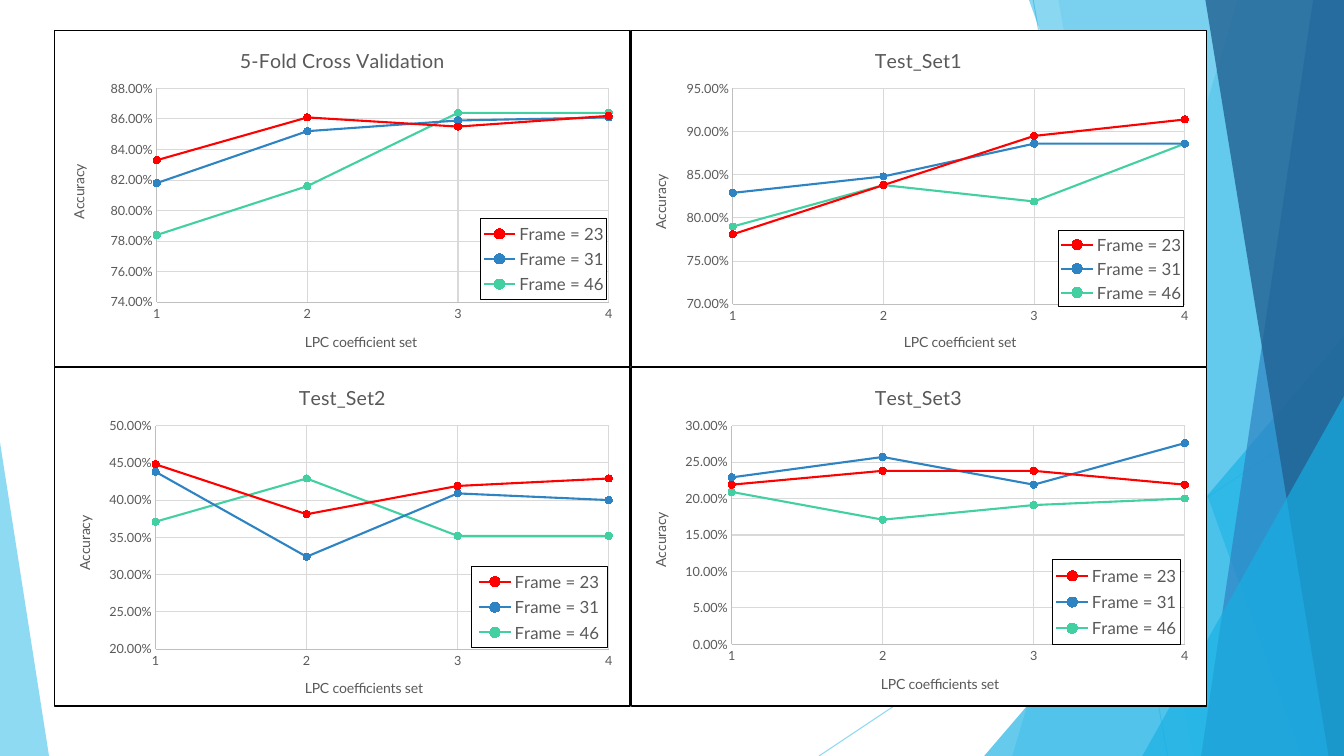
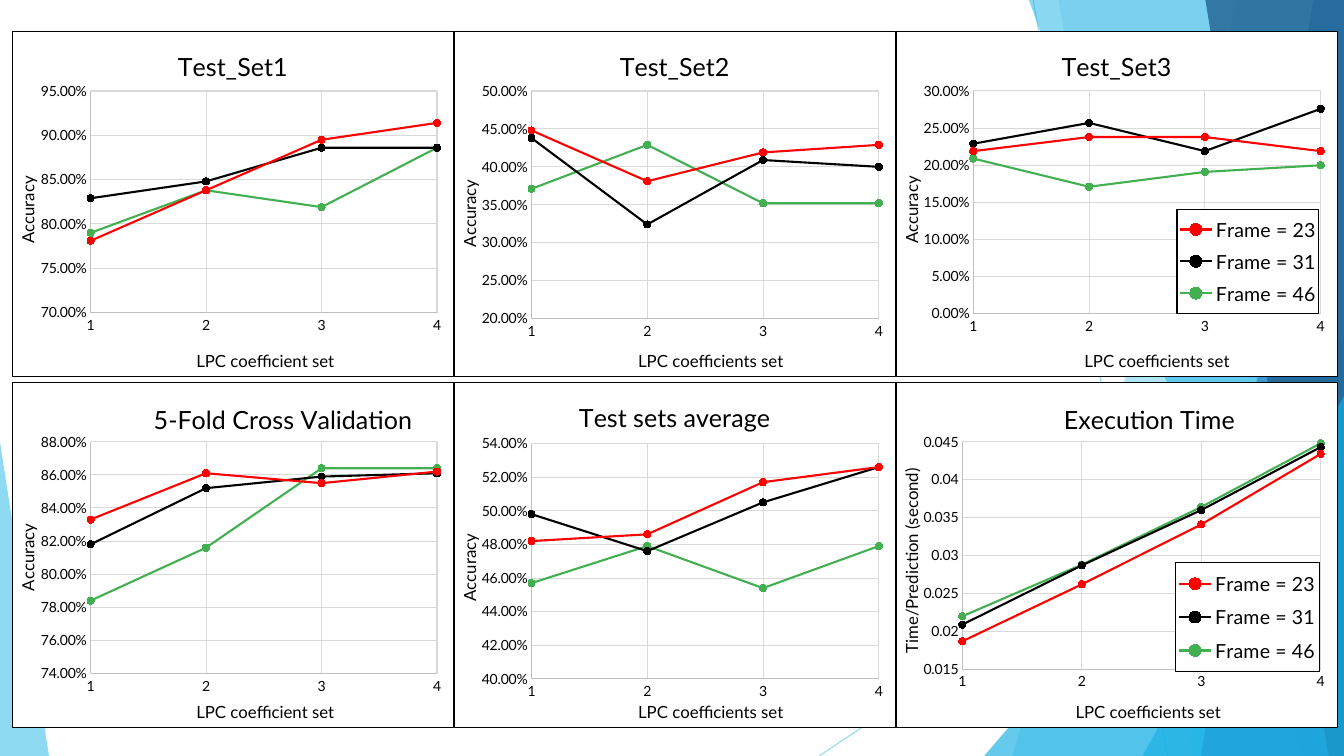
"""Build two slides of accuracy and timing line charts over a faceted blue background."""
import pptx
import pptx.chart.data
import pptx.dml.color
import pptx.enum.chart
import pptx.enum.shapes
import pptx.oxml
import pptx.oxml.ns
import pptx.util

Pt = pptx.util.Pt
RGBColor = pptx.dml.color.RGBColor
qn = pptx.oxml.ns.qn
parse_xml = pptx.oxml.parse_xml
nsdecls = pptx.oxml.ns.nsdecls

FONT = "Lato"
SKY = RGBColor(0x5F, 0xCB, 0xEF)
CYAN = RGBColor(0x17, 0xB0, 0xE4)
BLUE = RGBColor(0x2E, 0x83, 0xC3)
NAVY = RGBColor(0x22, 0x62, 0x92)
RED = RGBColor(0xFF, 0x00, 0x00)
MINT = RGBColor(0x42, 0xD0, 0xA2)
GREEN = RGBColor(0x42, 0xB0, 0x51)
BLACK = RGBColor(0x00, 0x00, 0x00)
GRAY = RGBColor(0x59, 0x59, 0x59)
AXIS_GRAY = RGBColor(0xBF, 0xBF, 0xBF)
GRID_GRAY = RGBColor(0xD9, 0xD9, 0xD9)

BACKDROP = [
    ("line", SKY, 70, (738, 0, 834, 540)),
    ("line", SKY, 70, (960, 290, 585, 540)),
    ("band", SKY, 36, (884, 723)),
    ("band", SKY, 20, (756, 852)),
    ("triangle", CYAN, 66, (703, 240, 257, 300)),
    ("band", CYAN, 50, (735, 929.5)),
    ("band", BLUE, 70, (938, 858)),
    ("band", NAVY, 80, (861, 949)),
    ("triangle", CYAN, 66, (816, 283, 144, 257)),
    ("triangle", SKY, 70, (0, 316, 35, 224)),
]

FRAMES = ["Frame = 23", "Frame = 31", "Frame = 46"]
PERCENT = "0.00%"

RESULTS = {
    "5-Fold Cross Validation": dict(
        values=[(0.833, 0.861, 0.855, 0.862), (0.818, 0.852, 0.859, 0.861),
                (0.784, 0.816, 0.864, 0.864)],
        scale=(0.74, 0.88, 0.02), x_title="LPC coefficient set"),
    "Test_Set1": dict(
        values=[(0.781, 0.838, 0.895, 0.914), (0.829, 0.848, 0.886, 0.886),
                (0.79, 0.838, 0.819, 0.886)],
        scale=(0.7, 0.95, 0.05), x_title="LPC coefficient set"),
    "Test_Set2": dict(
        values=[(0.448, 0.381, 0.419, 0.429), (0.438, 0.324, 0.409, 0.4),
                (0.371, 0.429, 0.352, 0.352)],
        scale=(0.2, 0.5, 0.05), x_title="LPC coefficients set"),
    "Test_Set3": dict(
        values=[(0.219, 0.238, 0.238, 0.219), (0.229, 0.257, 0.219, 0.276),
                (0.209, 0.171, 0.191, 0.2)],
        scale=(0, 0.3, 0.05), x_title="LPC coefficients set"),
    "Test sets average": dict(
        values=[(0.482, 0.486, 0.517, 0.526), (0.498, 0.476, 0.505, 0.526),
                (0.457, 0.479, 0.454, 0.479)],
        scale=(0.4, 0.54, 0.02), x_title="LPC coefficients set"),
    "Execution Time": dict(
        values=[(0.0187, 0.0262, 0.0341, 0.0434), (0.0209, 0.0287, 0.036, 0.0443),
                (0.022, 0.0288, 0.0364, 0.0448)],
        scale=(0.015, 0.045, 0.005), x_title="LPC coefficients set",
        y_title="Time/Prediction (second)", number_format="General"),
}

SLIDES = [
    dict(
        colors=[RED, BLUE, MINT], text=GRAY, sizes=dict(title=14, axis=10, tick=9, legend=12),
        left=38.9, width=411.5, columns=2, rows=[(21.6, 240.5), (262.1, 242.6)],
        charts=[
            dict(name="5-Fold Cross Validation", plot=(0.177, 0.172, 0.786, 0.637),
                 x_at=(0.43, 0.89), y_at=(0.02, 0.39), legend=(0.74, 0.56, 0.22, 0.24)),
            dict(name="Test_Set1", plot=(0.177, 0.172, 0.786, 0.643),
                 x_at=(0.47, 0.89), y_at=(0.03, 0.42), legend=(0.744, 0.596, 0.217, 0.226)),
            dict(name="Test_Set2", plot=(0.175, 0.172, 0.788, 0.66),
                 x_at=(0.43, 0.91), y_at=(0.03, 0.43), legend=(0.724, 0.588, 0.236, 0.24)),
            dict(name="Test_Set3", plot=(0.175, 0.172, 0.788, 0.646),
                 x_at=(0.43, 0.9), y_at=(0.03, 0.42), legend=(0.733, 0.568, 0.222, 0.25)),
        ]),
    dict(
        colors=[RED, BLACK, GREEN], text=BLACK, sizes=dict(title=18, axis=12, tick=10, legend=14),
        left=8.6, width=315.6, columns=3, rows=[(22.3, 247), (272.9, 247)],
        charts=[
            dict(name="Test_Set1", plot=(0.177, 0.172, 0.786, 0.643),
                 x_at=(0.41, 0.91), y_at=(0, 0.41)),
            dict(name="Test_Set2", plot=(0.175, 0.172, 0.788, 0.66),
                 x_at=(0.41, 0.91), y_at=(0, 0.42)),
            dict(name="Test_Set3", plot=(0.175, 0.172, 0.788, 0.646),
                 x_at=(0.42, 0.91), y_at=(0, 0.41), legend=(0.637, 0.516, 0.322, 0.3)),
            dict(name="5-Fold Cross Validation", plot=(0.177, 0.172, 0.786, 0.672),
                 title_at=(0.31, 0.04), x_at=(0.41, 0.91), y_at=(0, 0.4)),
            dict(name="Test sets average", plot=(0.175, 0.177, 0.788, 0.683),
                 x_at=(0.41, 0.91), y_at=(0, 0.43)),
            dict(name="Execution Time", plot=(0.15, 0.172, 0.813, 0.66),
                 title_at=(0.37, 0.04), x_at=(0.4, 0.91), y_at=(0, 0.24),
                 legend=(0.633, 0.522, 0.327, 0.317)),
        ]),
]

BOX_XML = (
    f'<c:spPr {nsdecls("c", "a")}><a:solidFill><a:srgbClr val="FFFFFF"/></a:solidFill>'
    '<a:ln w="9525"><a:solidFill><a:srgbClr val="000000"/></a:solidFill></a:ln></c:spPr>'
)


def write(tf, text, size=10, color=BLACK, bold=False):
    """Put one formatted run into a text frame."""
    p = tf.paragraphs[0]
    r = p.add_run()
    r.text = text
    for font in (p.font, r.font):
        font.name, font.size, font.bold = FONT, Pt(size), bold
        font.color.rgb = color


def place(element, box):
    """Give a chart part a manual layout in fractions of the chart."""
    for layout in element.findall(qn("c:layout")):
        element.remove(layout)
    target = '<c:layoutTarget val="inner"/>' if element.tag == qn("c:plotArea") else ""
    modes = '<c:xMode val="edge"/><c:yMode val="edge"/>'
    sides = "".join(f'<c:{side} val="{value}"/>' for side, value in zip("xywh", box))
    layout = parse_xml(
        f'<c:layout {nsdecls("c")}><c:manualLayout>{target}{modes}{sides}'
        '</c:manualLayout></c:layout>')
    element.insert(int(element[0].tag in (qn("c:tx"), qn("c:legendPos"))), layout)


prs = pptx.Presentation()
prs.slide_width, prs.slide_height = Pt(960), Pt(540)

for page in SLIDES:
    s = prs.slides.add_slide(prs.slide_layouts[6])

    for kind, color, alpha, geometry in BACKDROP:
        if kind == "line":
            sp = s.shapes.add_connector(
                pptx.enum.shapes.MSO_CONNECTOR.STRAIGHT, *map(Pt, geometry))
            sp.line.color.rgb = color
            sp.line.width = Pt(0.75)
            sp._element.spPr.append(parse_xml(f'<a:effectLst {nsdecls("a")}/>'))
        else:
            if kind == "band":
                top_x, bottom_x = geometry
                outline = s.shapes.build_freeform(Pt(top_x), Pt(0))
                outline.add_line_segments(
                    [(Pt(960), Pt(0)), (Pt(960), Pt(540)), (Pt(bottom_x), Pt(540))])
                sp = outline.convert_to_shape()
            else:
                sp = s.shapes.add_shape(
                    pptx.enum.shapes.MSO_SHAPE.ISOSCELES_TRIANGLE, *map(Pt, geometry))
                sp.adjustments[0] = 1 if geometry[0] else 0
            sp.shadow.inherit = False
            sp.fill.solid()
            sp.fill.fore_color.rgb = color
            sp.line.fill.background()
        tint = sp._element.spPr.find(".//" + qn("a:srgbClr"))
        tint.append(parse_xml(f'<a:alpha {nsdecls("a")} val="{alpha * 1000}"/>'))

    sizes, text = page["sizes"], page["text"]
    for i, spot in enumerate(page["charts"]):
        result = RESULTS[spot["name"]]
        number_format = result.get("number_format", PERCENT)
        row, column = divmod(i, page["columns"])
        top, height = page["rows"][row]

        data = pptx.chart.data.XyChartData(number_format=number_format)
        for frame, values in zip(FRAMES, result["values"]):
            series = data.add_series(frame)
            for x, y in enumerate(values, 1):
                series.add_data_point(x, y)
        chart = s.shapes.add_chart(
            pptx.enum.chart.XL_CHART_TYPE.XY_SCATTER_LINES,
            Pt(page["left"] + column * page["width"]), Pt(top),
            Pt(page["width"]), Pt(height), data).chart

        chart.font.name, chart.font.size = FONT, Pt(10)
        frame_xml = chart._chartSpace.find(qn("c:chart"))
        frame_xml.addprevious(parse_xml(f'<c:roundedCorners {nsdecls("c")} val="0"/>'))
        frame_xml.addnext(parse_xml(BOX_XML))
        place(frame_xml.find(qn("c:plotArea")), spot["plot"])

        chart.has_title = True
        write(chart.chart_title.text_frame, spot["name"], size=sizes["title"], color=text)
        if "title_at" in spot:
            place(chart.chart_title._element, spot["title_at"])

        chart.plots[0].vary_by_categories = False
        for series, color in zip(chart.plots[0].series, page["colors"]):
            series.smooth = False
            series.format.line.color.rgb = color
            series.format.line.width = Pt(1.5)
            marker = series.marker
            marker.style, marker.size = pptx.enum.chart.XL_MARKER_STYLE.CIRCLE, 5
            marker.format.fill.solid()
            marker.format.fill.fore_color.rgb = color
            marker.format.line.color.rgb = color

        for axis, title, at, scale, label_format in (
            (chart.category_axis, result["x_title"], spot["x_at"], (1, 4, 1), "General"),
            (chart.value_axis, result.get("y_title", "Accuracy"), spot["y_at"],
             result["scale"], number_format),
        ):
            axis.minimum_scale, axis.maximum_scale, axis.major_unit = scale
            axis.major_tick_mark = axis.minor_tick_mark = pptx.enum.chart.XL_TICK_MARK.NONE
            axis.has_major_gridlines = True
            for line, color in ((axis.format.line, AXIS_GRAY),
                                (axis.major_gridlines.format.line, GRID_GRAY)):
                line.color.rgb = color
                line.width = Pt(0.75)
            labels = axis.tick_labels
            labels.number_format, labels.number_format_is_linked = label_format, False
            labels.font.name, labels.font.size = FONT, Pt(sizes["tick"])
            labels.font.color.rgb = text
            axis.has_title = True
            write(axis.axis_title.text_frame, title, size=sizes["axis"], color=text)
            place(axis.axis_title._element, at)
        body = chart.value_axis.axis_title.text_frame._txBody.bodyPr
        body.set("rot", "-5400000")
        body.set("vert", "horz")

        chart.has_legend = "legend" in spot
        if chart.has_legend:
            legend = chart.legend
            legend.position = pptx.enum.chart.XL_LEGEND_POSITION.BOTTOM
            legend.include_in_layout = False
            legend.font.name, legend.font.size = FONT, Pt(sizes["legend"])
            legend.font.color.rgb = text
            place(legend._element, spot["legend"])
            legend._element.find(qn("c:overlay")).addnext(parse_xml(BOX_XML))

prs.save("out.pptx")
